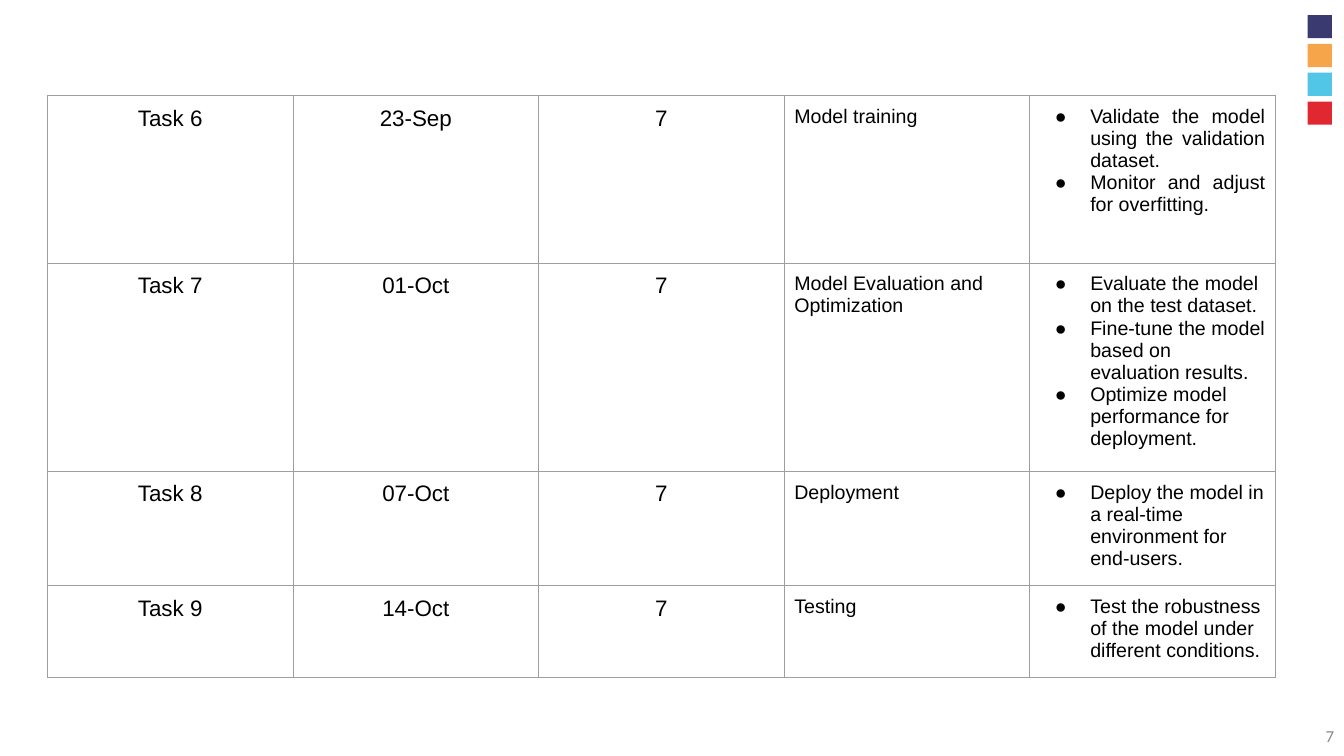
from dataclasses import dataclass

from lxml import etree
from pptx import Presentation
from pptx.dml.color import RGBColor
from pptx.enum.shapes import MSO_SHAPE
from pptx.enum.text import MSO_ANCHOR, PP_ALIGN
from pptx.oxml.ns import qn
from pptx.util import Inches, Pt

RECTANGLE = MSO_SHAPE.RECTANGLE
MIDDLE = MSO_ANCHOR.MIDDLE
LEFT, CENTER, RIGHT, JUSTIFY = PP_ALIGN.LEFT, PP_ALIGN.CENTER, PP_ALIGN.RIGHT, PP_ALIGN.JUSTIFY
BLANK_LAYOUT = 6


@dataclass(frozen=True)
class Theme:
    """Colours, fonts and type sizes of the slide."""
    text: str = "000000"
    border: str = "9E9E9E"
    page_number: str = "888888"
    markers: tuple = ("3A3A70", "F7A54B", "51C6E7", "E12730")
    body_font: str = "Arial"
    number_font: str = "Calibri"
    key_size: int = 16
    detail_size: int = 14
    number_size: int = 12
    border_width: float = 0.75


THEME = Theme()
TABLE_LEFT, TABLE_TOP, TABLE_WIDTH = 0.47, 0.95, 12.18
COLUMN_COUNT = 5

FIRST_TASKS = [
    (1.66, "Task 6", "23-Sep", "7", "Model training",
     ["Validate the model using the validation dataset.",
      "Monitor and adjust for overfitting."]),
]
LATER_TASKS = [
    (2.06, "Task 7", "01-Oct", "7", "Model Evaluation and Optimization",
     ["Evaluate the model on the test dataset.",
      "Fine-tune the model based on evaluation results.",
      "Optimize model performance for deployment."]),
    (1.13, "Task 8", "07-Oct", "7", "Deployment",
     ["Deploy the model in a real-time environment for end-users."]),
    (0.91, "Task 9", "14-Oct", "7", "Testing",
     ["Test the robustness of the model under different conditions."]),
]


def add_bullet(paragraph):
    """Give a paragraph a round bullet with a hanging indent."""
    properties = paragraph._p.get_or_add_pPr()
    properties.set("marL", str(Inches(0.5)))
    properties.set("indent", str(Inches(-0.35)))
    colour = etree.SubElement(properties, qn("a:buClr"))
    etree.SubElement(colour, qn("a:srgbClr"), val=THEME.text)
    etree.SubElement(properties, qn("a:buFont"), typeface=THEME.body_font)
    etree.SubElement(properties, qn("a:buChar"), char="●")


def write_text(frame, lines, size=THEME.detail_size, font=THEME.body_font,
               colour=THEME.text, align=LEFT, bullets=False):
    """Write each line as a formatted paragraph of a text frame."""
    for index, line in enumerate(lines):
        paragraph = frame.add_paragraph() if index else frame.paragraphs[0]
        paragraph.alignment = align
        if bullets:
            add_bullet(paragraph)
        run = paragraph.add_run()
        run.text = line
        run.font.size = Pt(size)
        run.font.name = font
        run.font.color.rgb = RGBColor.from_string(colour)


def format_cell(cell):
    """Set the margins, clear fill and four borders of a cell."""
    cell.margin_left = cell.margin_right = Inches(0.1)
    cell.margin_top = cell.margin_bottom = Inches(0.1)
    cell.fill.background()
    properties = cell._tc.get_or_add_tcPr()
    for index, side in enumerate(("lnL", "lnR", "lnT", "lnB")):
        line = etree.Element(qn(f"a:{side}"), w=str(Pt(THEME.border_width)))
        fill = etree.SubElement(line, qn("a:solidFill"))
        etree.SubElement(fill, qn("a:srgbClr"), val=THEME.border)
        properties.insert(index, line)


def add_task_table(slide, top, tasks, bullet_align=LEFT):
    """Add a table with one row for each task."""
    height = sum(task[0] for task in tasks)
    table = slide.shapes.add_table(len(tasks), COLUMN_COUNT, Inches(TABLE_LEFT), Inches(top),
                                   Inches(TABLE_WIDTH), Inches(height)).table
    table.first_row = table.horz_banding = False
    for column in table.columns:
        column.width = Inches(TABLE_WIDTH / COLUMN_COUNT)
    for row, (row_height, *keys, title, steps) in zip(table.rows, tasks):
        row.height = Inches(row_height)
        *key_cells, title_cell, steps_cell = row.cells
        for cell in row.cells:
            format_cell(cell)
        for cell, key in zip(key_cells, keys):
            write_text(cell.text_frame, [key], size=THEME.key_size, align=CENTER)
        write_text(title_cell.text_frame, [title])
        write_text(steps_cell.text_frame, steps, align=bullet_align, bullets=True)
    return top + height


def add_markers(slide):
    """Add the column of coloured squares in the top right corner."""
    group = slide.shapes.add_group_shape()
    for index, colour in enumerate(THEME.markers):
        shape = group.shapes.add_shape(RECTANGLE, Inches(12.97), Inches(0.15 + 0.286 * index),
                                       Inches(0.24), Inches(0.23))
        shape.shadow.inherit = False
        shape.fill.solid()
        shape.fill.fore_color.rgb = RGBColor.from_string(colour)
        shape.line.fill.background()


def add_page_number(slide, number):
    """Add the page number in the bottom right corner."""
    frame = slide.shapes.add_textbox(Inches(10.33), Inches(7.1), Inches(3), Inches(0.4)).text_frame
    frame.word_wrap = True
    frame.vertical_anchor = MIDDLE
    write_text(frame, [number], size=THEME.number_size, font=THEME.number_font,
               colour=THEME.page_number, align=RIGHT)


def main():
    """Build the task schedule slide and save it."""
    presentation = Presentation()
    presentation.slide_width = Inches(13.33)
    presentation.slide_height = Inches(7.5)
    slide = presentation.slides.add_slide(presentation.slide_layouts[BLANK_LAYOUT])
    add_markers(slide)
    add_page_number(slide, "7")
    next_top = add_task_table(slide, TABLE_TOP, FIRST_TASKS, bullet_align=JUSTIFY)
    add_task_table(slide, next_top, LATER_TASKS)
    presentation.save("out.pptx")


if __name__ == "__main__":
    main()
